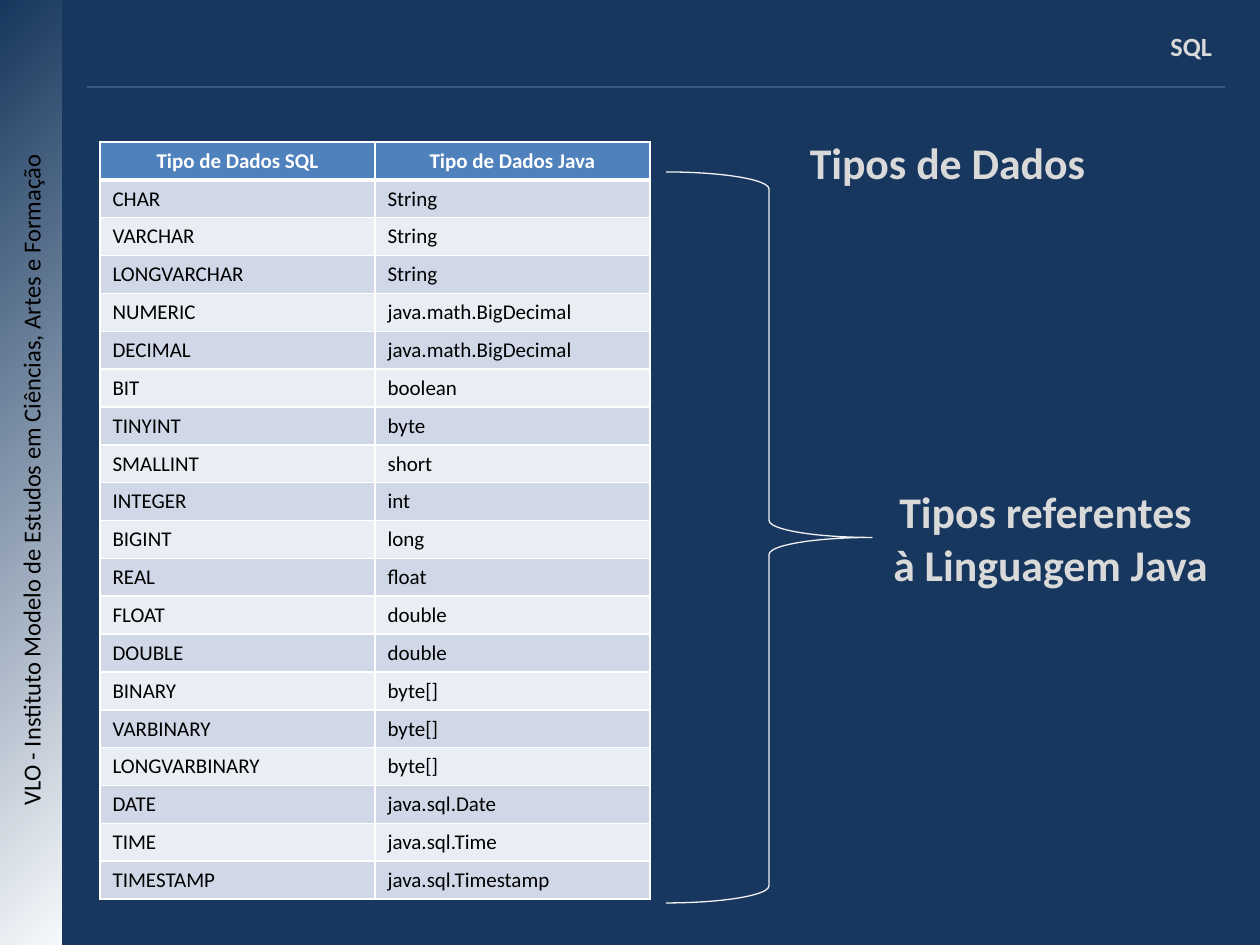
from lxml.etree import SubElement
from pptx import Presentation
from pptx.dml.color import RGBColor
from pptx.enum.shapes import MSO_CONNECTOR, MSO_SHAPE
from pptx.enum.text import PP_ALIGN
from pptx.oxml.ns import qn
from pptx.util import Emu, Pt

NAVY = RGBColor(0x17, 0x37, 0x5E)
PALE = RGBColor(0xF6, 0xF9, 0xFC)
RULE = RGBColor(0x3B, 0x5A, 0x82)
GREY = RGBColor(0xD9, 0xD9, 0xD9)
BRACE = RGBColor(0xF2, 0xF2, 0xF2)
HEADER = RGBColor(0x4F, 0x81, 0xBD)
BANDS = (RGBColor(0xD0, 0xD8, 0xE8), RGBColor(0xE9, 0xED, 0xF4))
WHITE = RGBColor(0xFF, 0xFF, 0xFF)
BLACK = RGBColor(0, 0, 0)

HEADINGS = ("Tipo de Dados SQL", "Tipo de Dados Java")
TYPES = [
    ("CHAR", "String"),
    ("VARCHAR", "String"),
    ("LONGVARCHAR", "String"),
    ("NUMERIC", "java.math.BigDecimal"),
    ("DECIMAL", "java.math.BigDecimal"),
    ("BIT", "boolean"),
    ("TINYINT", "byte"),
    ("SMALLINT", "short"),
    ("INTEGER", "int"),
    ("BIGINT", "long"),
    ("REAL", "float"),
    ("FLOAT", "double"),
    ("DOUBLE", "double"),
    ("BINARY", "byte[]"),
    ("VARBINARY", "byte[]"),
    ("LONGVARBINARY", "byte[]"),
    ("DATE", "java.sql.Date"),
    ("TIME", "java.sql.Time"),
    ("TIMESTAMP", "java.sql.Timestamp"),
]


def px(n):
    return Emu(round(n * 914400 / 126))


class Deck:
    """Holds the text style and the current slide."""

    font = "Calibri"

    def __init__(self, prs):
        self.s = prs.slides.add_slide(prs.slide_layouts[6])
        self.s.background.fill.solid()
        self.s.background.fill.fore_color.rgb = NAVY

    def style(self, tf, size, color, bold, align):
        for p in tf.paragraphs:
            p.alignment = align
            for r in p.runs:
                r.font.name = self.font
                r.font.size = Pt(size)
                r.font.bold = bold
                r.font.color.rgb = color

    def text(self, box, text, size, color=GREY, bold=True,
             align=PP_ALIGN.CENTER, wrap=True, rotation=0):
        sp = self.s.shapes.add_textbox(*map(px, box))
        sp.rotation = rotation
        tf = sp.text_frame
        tf.word_wrap = wrap
        tf.text = text
        self.style(tf, size, color, bold, align)

    def gradient_bar(self, box):
        """Adds a borderless bar that lightens towards its bottom right corner."""
        sp = self.s.shapes.add_shape(MSO_SHAPE.RECTANGLE, *map(px, box))
        sp.shadow.inherit = False
        sp.line.fill.background()
        sp.fill.gradient()
        for stop, position, color in zip(sp.fill.gradient_stops, (0, 1), (PALE, NAVY)):
            stop.position = position
            stop.color.rgb = color
        grad = sp._element.spPr.find(qn("a:gradFill"))
        grad.remove(grad.find(qn("a:lin")))
        radial = SubElement(grad, qn("a:path"), {"path": "circle"})
        SubElement(radial, qn("a:fillToRect"), l="100000", t="100000")

    def brace(self, box):
        sp = self.s.shapes.add_shape(MSO_SHAPE.RIGHT_BRACE, *map(px, box))
        sp.shadow.inherit = False
        sp.adjustments[0] = 0.083
        sp.adjustments[1] = 0.5
        sp.fill.background()
        sp.line.color.rgb = BRACE
        sp.line.width = Pt(0.75)

    def line(self, x1, y1, x2, y2):
        cn = self.s.shapes.add_connector(MSO_CONNECTOR.STRAIGHT, *map(px, (x1, y1, x2, y2)))
        cn.line.color.rgb = RULE
        cn.line.width = Pt(0.75)
        SubElement(cn._element.spPr, qn("a:effectLst"))

    def borders(self, cell, **widths):
        """Draws white cell borders, 1 pt unless a side (L, R, T, B) says otherwise."""
        tcPr = cell._tc.get_or_add_tcPr()
        for side in "LRTB":
            ln = SubElement(tcPr, qn(f"a:ln{side}"), w=str(Pt(widths.get(side, 1))))
            SubElement(SubElement(ln, qn("a:solidFill")), qn("a:srgbClr"), val=str(WHITE))

    def table(self, box, rows):
        table = self.s.shapes.add_table(len(rows), len(rows[0]), *map(px, box)).table
        for i, row in enumerate(rows):
            for j, text in enumerate(row):
                cell = table.cell(i, j)
                cell.text = text
                if i == 0:
                    fill, look = HEADER, (WHITE, True, PP_ALIGN.CENTER)
                else:
                    fill, look = BANDS[(i - 1) % 2], (BLACK, False, PP_ALIGN.LEFT)
                self.style(cell.text_frame, 12, *look)
                self.borders(cell, B=3 if i == 0 else 1, T=3 if i == 1 else 1)
                cell.fill.solid()
                cell.fill.fore_color.rgb = fill


def main():
    prs = Presentation()
    prs.slide_width, prs.slide_height = px(1260), px(945)

    deck = Deck(prs)
    deck.gradient_bar((0, 0, 62, 945))
    deck.text((-320, 445, 703, 43),
              "VLO - Instituto Modelo de Estudos em Ciências, Artes e Formação",
              14, BLACK, bold=False, align=PP_ALIGN.LEFT, rotation=270)
    deck.line(87, 87, 1225, 87)
    deck.text((1158, 24, 68, 44), "SQL", 15, align=PP_ALIGN.LEFT, wrap=False)
    deck.text((456, 130, 983, 66), "Tipos de Dados", 25)
    deck.text((876, 479, 349, 118), "Tipos referentes \nà Linguagem Java", 25)
    deck.table((100, 142, 550, 756), [HEADINGS, *TYPES])
    deck.brace((666, 172, 206, 731))

    prs.save("out.pptx")


if __name__ == "__main__":
    main()
